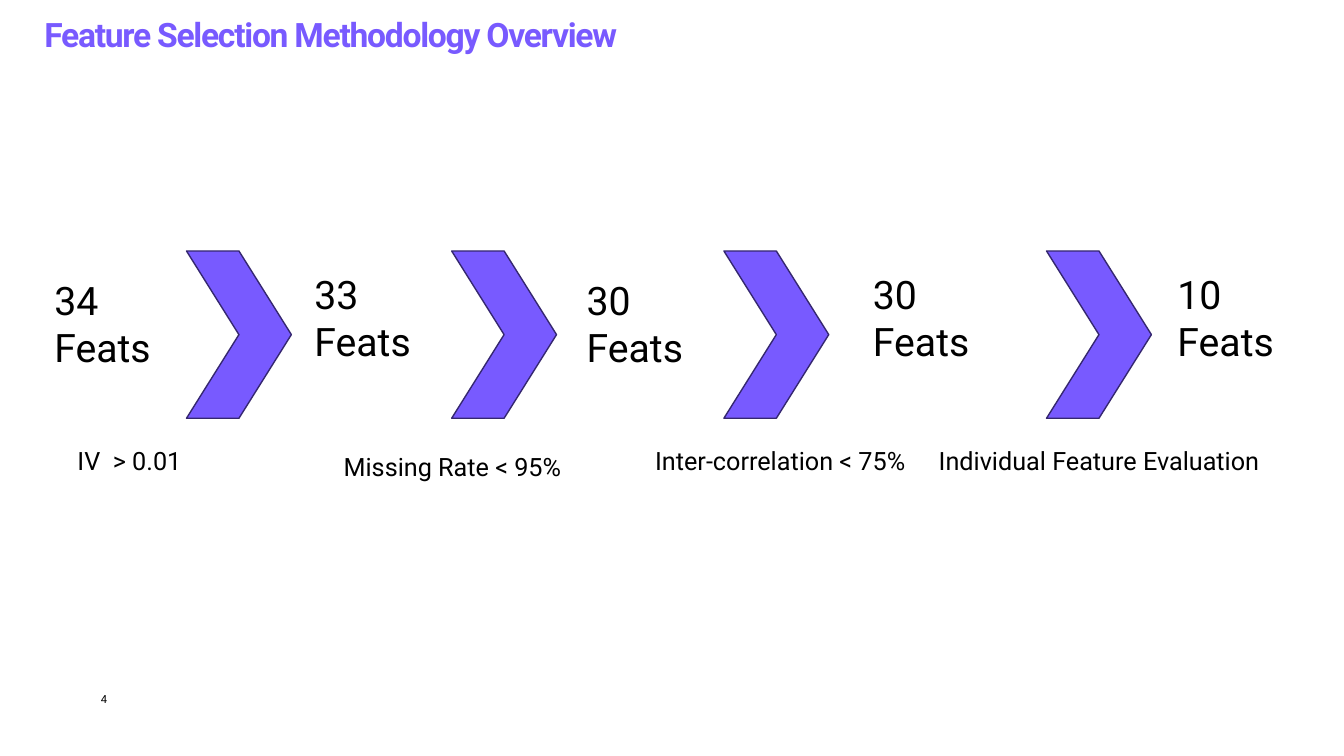
"""Build the feature selection overview slide."""
from dataclasses import dataclass

from pptx import Presentation
from pptx.dml.color import RGBColor
from pptx.enum.shapes import MSO_SHAPE
from pptx.enum.text import MSO_ANCHOR, MSO_AUTO_SIZE, PP_ALIGN
from pptx.util import Emu, Pt

CHEVRON = MSO_SHAPE.CHEVRON
TOP = MSO_ANCHOR.TOP
NO_FIT = MSO_AUTO_SIZE.NONE
LEFT, CENTER = PP_ALIGN.LEFT, PP_ALIGN.CENTER
EMU_PER_PX = 9144
TITLE_ONLY = 5


@dataclass(frozen=True)
class Theme:
    """Colours, font and type sizes of the slide."""
    font: str = "Roboto"
    accent: RGBColor = RGBColor(0x78, 0x5A, 0xFF)
    outline: RGBColor = RGBColor(0x35, 0x27, 0x70)
    text: RGBColor = RGBColor(0, 0, 0)
    title_size: int = 24
    count_size: int = 28
    criterion_size: int = 18
    number_size: int = 8


THEME = Theme()
COUNTS = [(44, 269, "34"), (302, 263, "33"), (572, 269, "30"),
          (856, 263, "30"), (1158, 263, "10")]
CHEVRON_LEFTS = [185, 448, 718, 1038]
CRITERIA = [
    ((67, 437, 291, 40), "IV  > 0.01", LEFT),
    ((331, 443, 272, 40), "Missing Rate < 95%", LEFT),
    ((640, 437, 324, 40), "Inter-correlation < 75%", LEFT),
    ((919, 437, 342, 71), "Individual Feature Evaluation", CENTER),
]


def px(length):
    """Turn px into EMU."""
    return Emu(length * EMU_PER_PX)


def write_text(shape, text, *, size, color=THEME.text, bold=False,
               align=LEFT, margins=(10, 5), line_spacing=None, tracking=None):
    """Fill a shape with formatted text, one paragraph per line."""
    frame = shape.text_frame
    frame.word_wrap = True
    frame.auto_size = NO_FIT
    frame.vertical_anchor = TOP
    frame.margin_left = frame.margin_right = px(margins[0])
    frame.margin_top = frame.margin_bottom = px(margins[1])
    frame.text = text
    for paragraph in frame.paragraphs:
        paragraph.alignment = align
        paragraph.line_spacing = line_spacing
        for run in paragraph.runs:
            run.font.name = THEME.font
            run.font.size = Pt(size)
            run.font.bold = bold
            run.font.color.rgb = color
            if tracking is not None:
                run.font._element.set("spc", str(tracking))


def add_title(slide, text):
    """Place and format the title placeholder."""
    title = slide.shapes.title
    title.left, title.top, title.width, title.height = map(px, (44, 0, 1248, 92))
    write_text(title, text, size=THEME.title_size, color=THEME.accent, bold=True,
               margins=(0, 10), line_spacing=1.1, tracking=-90)


def add_label(slide, box, text, **text_format):
    """Add a text box at a px box."""
    write_text(slide.shapes.add_textbox(*map(px, box)), text, **text_format)


def add_chevron(slide, left):
    """Add one step chevron."""
    shape = slide.shapes.add_shape(CHEVRON, *map(px, (left, 249, 104, 166)))
    shape.shadow.inherit = False
    shape.fill.solid()
    shape.fill.fore_color.rgb = THEME.accent
    shape.line.color.rgb = THEME.outline
    shape.line.width = Pt(1)


def main():
    """Build and save the slide."""
    presentation = Presentation()
    presentation.slide_width, presentation.slide_height = px(1333), px(750)
    slide = presentation.slides.add_slide(presentation.slide_layouts[TITLE_ONLY])
    add_title(slide, "Feature Selection Methodology Overview")
    for left in CHEVRON_LEFTS:
        add_chevron(slide, left)
    for left, top, count in COUNTS:
        add_label(slide, (left, top, 159, 104), f"{count}\nFeats", size=THEME.count_size)
    for box, criterion, align in CRITERIA:
        add_label(slide, box, criterion, size=THEME.criterion_size, align=align)
    add_label(slide, (100, 687, 292, 25), "4", size=THEME.number_size, margins=(0, 0))
    presentation.save("out.pptx")


if __name__ == "__main__":
    main()
